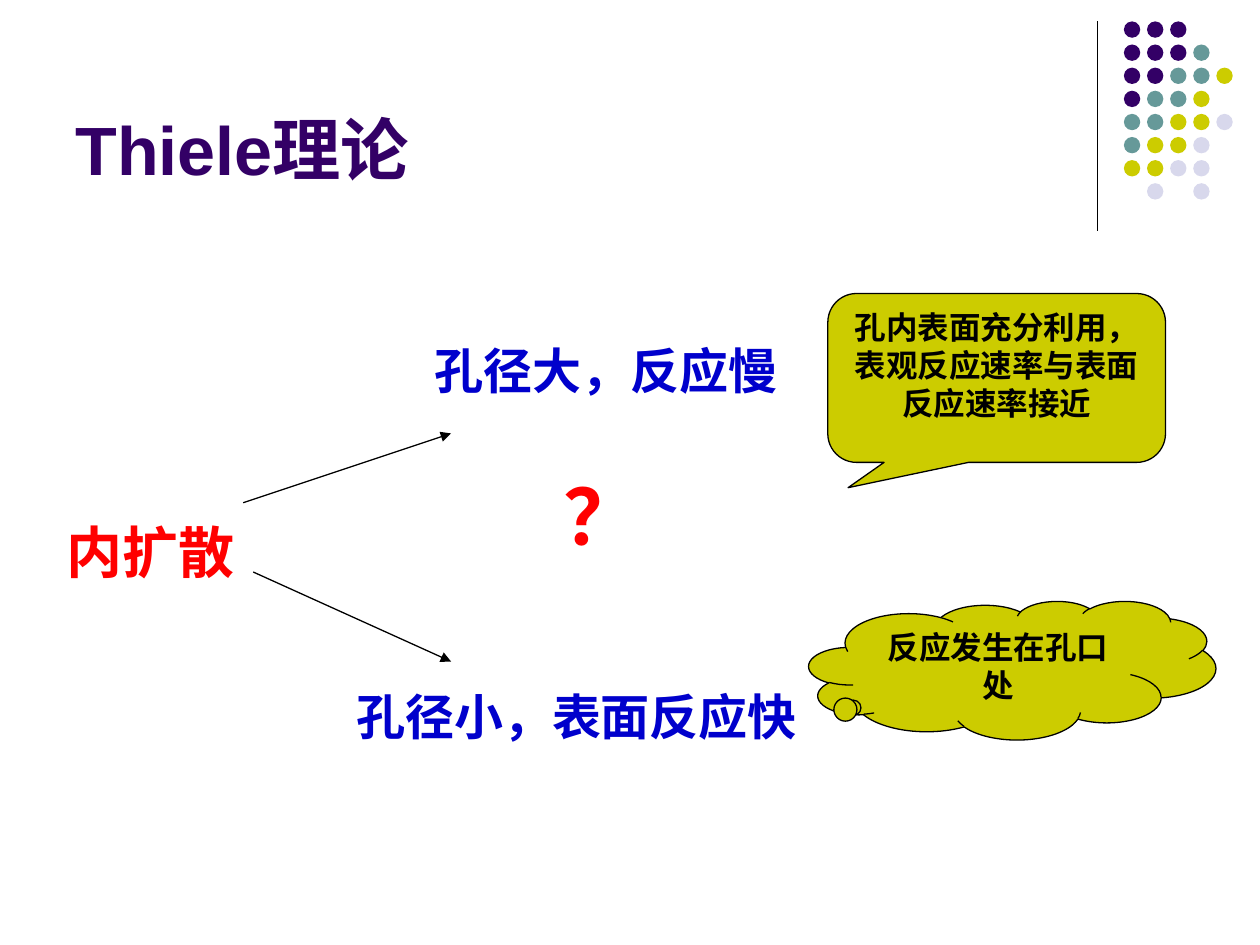
from lxml.etree import SubElement
from pptx import Presentation
from pptx.dml.color import RGBColor
from pptx.enum.lang import MSO_LANGUAGE_ID as Lang
from pptx.enum.shapes import MSO_CONNECTOR as Connector, MSO_SHAPE as Shape
from pptx.enum.text import MSO_ANCHOR as Anchor, PP_ALIGN as Align
from pptx.oxml.ns import qn
from pptx.util import Inches, Pt

PURPLE = RGBColor(0x33, 0x00, 0x66)
TEAL = RGBColor(0x66, 0x99, 0x99)
OLIVE = RGBColor(0xCC, 0xCC, 0x00)
LAVENDER = RGBColor(0xD8, 0xD8, 0xEC)
RED = RGBColor(0xFF, 0x00, 0x00)
BLUE = RGBColor(0x00, 0x00, 0xCC)
BLACK = RGBColor(0x00, 0x00, 0x00)

DOT_COLORS = {"P": PURPLE, "T": TEAL, "O": OLIVE, "L": LAVENDER}
DOT_ROWS = ["PPP", "PPPT", "PPTTO", "PTTO", "TTOOL", "TOOL", "OOLL", " L L"]


def write(frame, text, size, color, align=Align.LEFT, anchor=Anchor.TOP, wrap=True):
    frame.word_wrap = wrap
    frame.vertical_anchor = anchor
    paragraph = frame.paragraphs[0]
    paragraph.alignment = align
    run = paragraph.add_run()
    run.text = text
    font = run.font
    font.name = "Arial"
    font.size = Pt(size)
    font.bold = True
    font.color.rgb = color
    font.language_id = Lang.SIMPLIFIED_CHINESE


class ThieleSlide:
    line_width = Pt(0.75)
    dot_size = 0.13
    dot_pitch = 0.1835

    def __init__(self, slide):
        self.shapes = slide.shapes

    def label(self, text, box, size, color, **style):
        area = self.shapes.add_textbox(*map(Inches, box))
        write(area.text_frame, text, size, color, **style)

    def line(self, start, end, arrow=False):
        connector = self.shapes.add_connector(
            Connector.STRAIGHT, *map(Inches, start + end))
        connector.line.color.rgb = BLACK
        connector.line.width = self.line_width
        properties = connector._element.spPr
        if arrow:
            SubElement(properties.find(qn("a:ln")), qn("a:tailEnd"), type="triangle")
        SubElement(properties, qn("a:effectLst"))

    def filled(self, kind, box, color):
        shape = self.shapes.add_shape(kind, *map(Inches, box))
        shape.shadow.inherit = False
        shape.fill.solid()
        shape.fill.fore_color.rgb = color
        shape.line.fill.background()
        return shape

    def callout(self, kind, text, box, adjustments):
        bubble = self.filled(kind, box, OLIVE)
        bubble.line.color.rgb = BLACK
        bubble.line.width = self.line_width
        for index, value in enumerate(adjustments):
            bubble.adjustments[index] = value
        write(bubble.text_frame, text, 18, BLACK, align=Align.CENTER)

    def dots(self, left, top):
        for row, pattern in enumerate(DOT_ROWS):
            for column, key in enumerate(pattern):
                if key in DOT_COLORS:
                    box = (left + column * self.dot_pitch, top + row * self.dot_pitch,
                           self.dot_size, self.dot_size)
                    self.filled(Shape.OVAL, box, DOT_COLORS[key])


def main():
    deck = Presentation()
    deck.slide_width, deck.slide_height = Inches(10), Inches(7.5)
    page = ThieleSlide(deck.slides.add_slide(deck.slide_layouts[6]))

    page.line((8.71, 0.17), (8.71, 1.83))
    page.dots(8.92, 0.17)
    page.label("Thiele理论", (0.5, 0.13, 8.25, 1.42), 39, PURPLE, anchor=Anchor.BOTTOM)

    page.label("内扩散", (0.43, 4.06, 1.54, 0.63), 32, RED, wrap=False)
    page.line((1.93, 3.99), (3.58, 3.44), arrow=True)
    page.line((2.01, 4.54), (3.58, 5.25), arrow=True)

    page.label("孔径大，反应慢", (3.35, 2.65, 2.92, 0.57), 28, BLUE, wrap=False)
    page.callout(Shape.ROUNDED_RECTANGULAR_CALLOUT,
                 "孔内表面充分利用，表观反应速率与表面反应速率接近",
                 (6.57, 2.33, 2.68, 1.34), (-0.44, 0.65, 0.17))

    page.label("孔径小，表面反应快", (2.73, 5.4, 3.7, 0.57), 28, BLUE, wrap=False)
    page.callout(Shape.CLOUD_CALLOUT, "反应发生在孔口处",
                 (6.42, 4.77, 3.23, 1.1), (-0.39, 0.27))

    page.label("？", (4.37, 3.67, 0.81, 0.83), 44, RED, wrap=False)
    deck.save("out.pptx")


if __name__ == "__main__":
    main()
